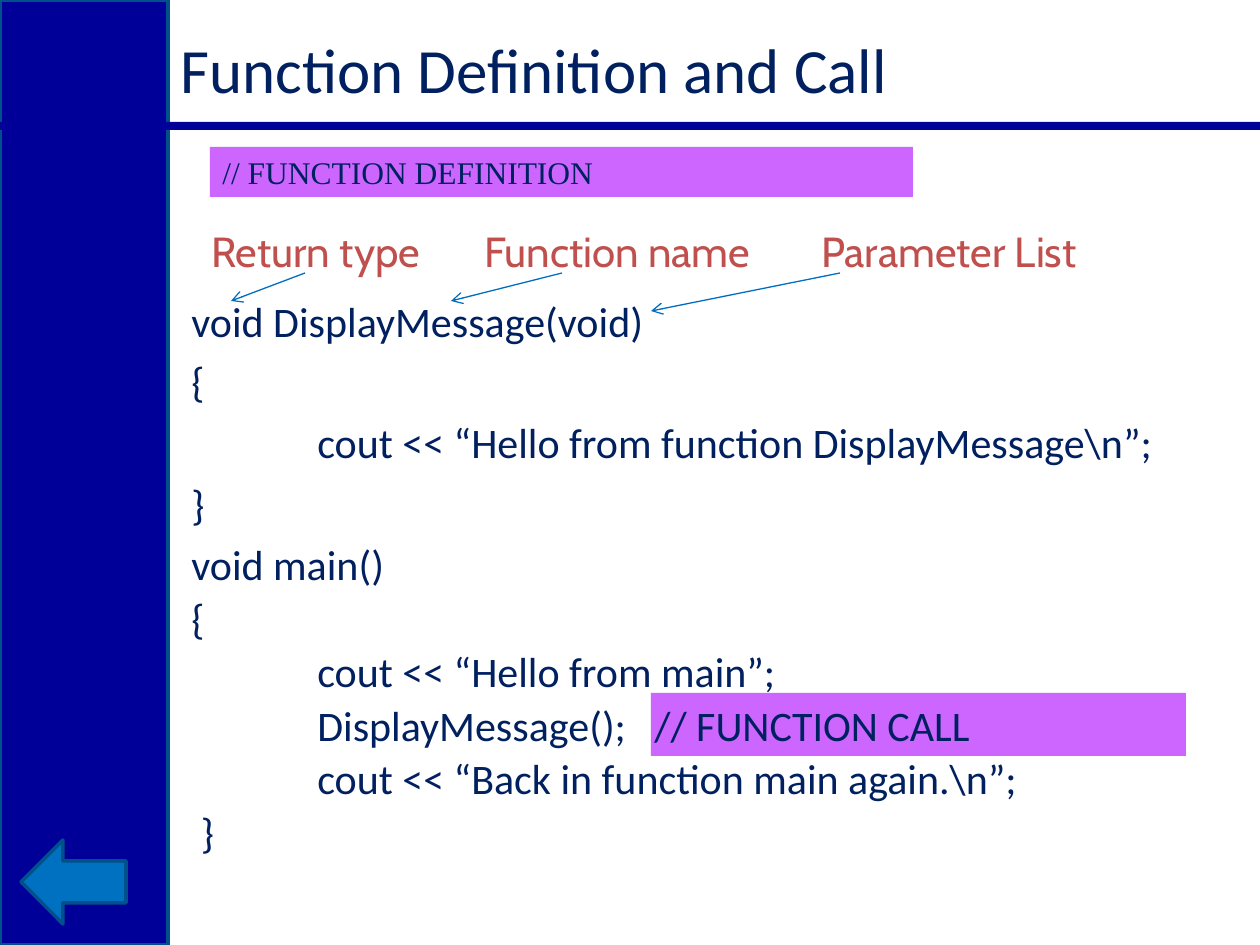
import pptx
import pptx.dml.color
import pptx.enum.shapes
import pptx.enum.text
import pptx.oxml.ns
import pptx.util
from lxml import etree

RGBColor = pptx.dml.color.RGBColor
NAVY = RGBColor(0x00, 0x00, 0x99)
EDGE = RGBColor(0x00, 0x50, 0x8C)
BLUE = RGBColor(0x00, 0x70, 0xC0)
ARROW = RGBColor(0x00, 0x6E, 0xC0)
PURPLE = RGBColor(0xCC, 0x66, 0xFF)
INK = RGBColor(0x00, 0x20, 0x60)
RED = RGBColor(0xC0, 0x50, 0x4D)

SCALE = 914400 / 126
TAB_STOPS = (126, 463)
SHAPES = pptx.enum.shapes.MSO_SHAPE
ANCHOR = pptx.enum.text.MSO_ANCHOR
qn = pptx.oxml.ns.qn


def add_block(kind, area, fill, edge=None):
    block = page.shapes.add_shape(kind, *[round(length * SCALE) for length in area])
    block.shadow.inherit = False
    block.fill.solid()
    block.fill.fore_color.rgb = fill
    if edge is None:
        block.line.fill.background()
    else:
        block.line.color.rgb = edge
        block.line.width = pptx.util.Pt(2)
    return block


def write_lines(box, lines, font, size, color, before=0, spacings=(1,), anchor=ANCHOR.TOP):
    frame = box.text_frame
    frame.word_wrap = True
    frame.vertical_anchor = anchor
    frame.text = "\n".join(lines)
    for index, para in enumerate(frame.paragraphs):
        para.alignment = pptx.enum.text.PP_ALIGN.LEFT
        para.line_spacing = float(spacings[min(index, len(spacings) - 1)])
        para.space_before = pptx.util.Pt(before)
        if "\t" in lines[index]:
            stops = etree.SubElement(para._p.get_or_add_pPr(), qn("a:tabLst"))
            for stop in TAB_STOPS:
                etree.SubElement(stops, qn("a:tab"), pos=str(round(stop * SCALE)), algn="l")
        para.font.name = font
        para.font.size = pptx.util.Pt(size)
        para.font.color.rgb = color


deck = pptx.Presentation()
deck.slide_width = round(1260 * SCALE)
deck.slide_height = round(945 * SCALE)
page = deck.slides.add_slide(deck.slide_layouts[6])

add_block(SHAPES.RECTANGLE, (0, 0, 168, 945), NAVY, EDGE)
add_block(SHAPES.RECTANGLE, (0, 122, 1260, 8), NAVY)
add_block(SHAPES.RECTANGLE, (651, 693, 535, 63), PURPLE)

definition_code = [
    "void DisplayMessage(void)",
    "{",
    "\tcout << “Hello from function DisplayMessage\\n”;",
    "}",
]
main_code = [
    "void main()",
    "{",
    "\tcout << “Hello from main”;",
    "\tDisplayMessage();\t// FUNCTION CALL",
    "\tcout << “Back in function main again.\\n”;",
    " }",
]
texts = [
    ((179, 546, 1061, 316), main_code, "Calibri", 24, INK, 10.5, (0.7,), ANCHOR.TOP),
    ((168, 21, 987, 95), ["Function Definition and Call"], "Calibri", 36, INK, 0, (1,), ANCHOR.MIDDLE),
    ((179, 301, 1061, 234), definition_code, "Calibri", 24, INK, 10.5, (0.75, 0.85), ANCHOR.TOP),
    ((199, 219, 325, 63), ["Return type"], "Cabin", 24, RED, 15, (1,), ANCHOR.TOP),
    ((472, 219, 325, 63), ["Function name"], "Cabin", 24, RED, 15, (1,), ANCHOR.TOP),
    ((809, 219, 346, 63), ["Parameter List"], "Cabin", 24, RED, 15, (1,), ANCHOR.TOP),
]
for area, *content in texts:
    box = page.shapes.add_textbox(*[round(length * SCALE) for length in area])
    write_lines(box, *content)

definition_label = add_block(SHAPES.RECTANGLE, (210, 147, 703, 50), PURPLE)
write_lines(definition_label, ["// FUNCTION DEFINITION"], "Times New Roman", 18, INK, 11.2)

for ends in [(305, 273, 231, 301), (562, 273, 451, 301), (840, 273, 651, 311)]:
    pointer = page.shapes.add_connector(
        pptx.enum.shapes.MSO_CONNECTOR.STRAIGHT, *[round(length * SCALE) for length in ends]
    )
    pointer.line.color.rgb = ARROW
    pointer.line.width = pptx.util.Pt(0.75)
    etree.SubElement(pointer.line._get_or_add_ln(), qn("a:tailEnd"), type="arrow")
    etree.SubElement(pointer._element.spPr, qn("a:effectLst"))

add_block(SHAPES.LEFT_ARROW, (21, 840, 105, 84), BLUE, EDGE)

deck.save("out.pptx")
